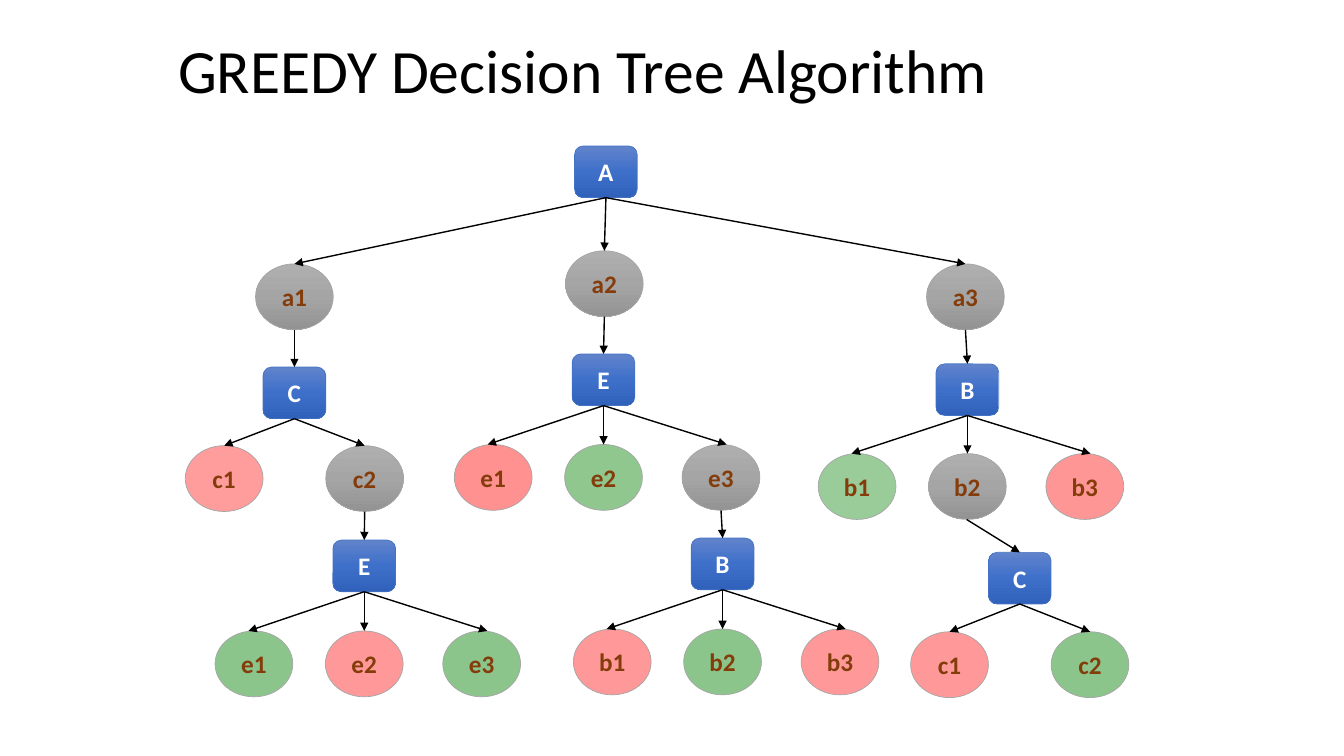
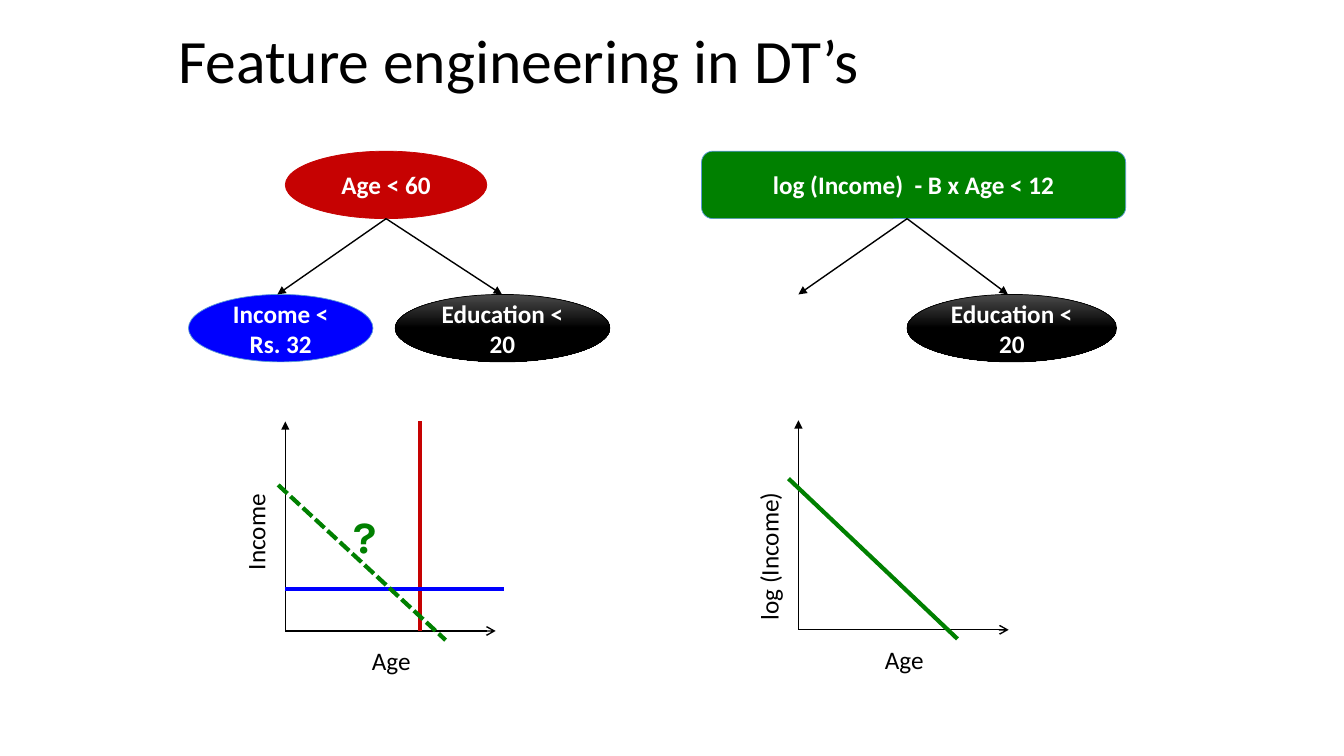
from collections import namedtuple
from dataclasses import dataclass

from lxml import etree
from pptx import Presentation
from pptx.dml.color import RGBColor
from pptx.enum.dml import MSO_LINE
from pptx.enum.shapes import MSO_CONNECTOR, MSO_SHAPE
from pptx.enum.text import MSO_ANCHOR, PP_ALIGN
from pptx.oxml.ns import qn
from pptx.util import Cm, Pt

OVAL, ROUNDED = MSO_SHAPE.OVAL, MSO_SHAPE.ROUNDED_RECTANGLE
STRAIGHT = MSO_CONNECTOR.STRAIGHT
DASHED = MSO_LINE.SQUARE_DOT
MIDDLE, TOP = MSO_ANCHOR.MIDDLE, MSO_ANCHOR.TOP
LEFT, CENTER = PP_ALIGN.LEFT, PP_ALIGN.CENTER

Box = namedtuple("Box", "left top width height")
Paint = namedtuple("Paint", "colors line opacity", defaults=(None,))
Answer = namedtuple("Answer", "label paint dx dy tip")
Style = namedtuple("Style", "size color bold font", defaults=(False, "Calibri"))


@dataclass(frozen=True)
class Theme:
    black: str = "000000"
    red: str = "C60202"
    blue: str = "0000FF"
    green: str = "008000"
    pure_red: str = "FF0000"
    gray_line: str = "A5A5A5"
    thin: float = 1
    thick: float = 3
    outline: float = 0.5
    title: Style = Style(44, "000000")
    body: Style = Style(18, "000000")
    node: Style = Style(18, "FFFFFF", True)
    answer: Style = Style(18, "843C0B", True)
    mark: Style = Style(32, "008000", True, "Karla")
    question: Paint = Paint(("6183CB", "3E70CA", "3062BB"), "4472C4")
    open: Paint = Paint(("AFAFAF", "A5A5A5", "939393"), "A5A5A5")
    dark: Paint = Paint(("4B4B4B", "000000", "000000"), "000000")


THEME = Theme()
QUESTION_W, QUESTION_H = 1.58, 1.3
ANSWER_W, ANSWER_H = 1.96, 1.66
FANS = {
    2: ((-1.77, -1.77), (1.77, 1.77)),
    3: ((-2.78, -2.92), (0, 0), (2.96, 3.1)),
}


def yes(opacity=45):
    return Paint((THEME.green,), THEME.gray_line, opacity)


def no(opacity=40):
    return Paint((THEME.pure_red,), THEME.gray_line, opacity)


def write(shape, text, style, align, anchor):
    frame = shape.text_frame
    frame.word_wrap = True
    frame.vertical_anchor = anchor
    para = frame.paragraphs[0]
    para.alignment = align
    span = para.add_run()
    span.text = text
    span.font.name = style.font
    span.font.size = Pt(style.size)
    span.font.bold = style.bold
    span.font.color.rgb = RGBColor.from_string(style.color)
    return para


def add_text(page, box, text, style, align=CENTER, anchor=TOP):
    shape = page.shapes.add_textbox(*map(Cm, box))
    return shape, write(shape, text, style, align, anchor)


def add_title(page, box, text):
    para = add_text(page, box, text, THEME.title, LEFT, MIDDLE)[1]
    para.line_spacing = 0.9


def apply_paint(shape, paint):
    fill = shape.fill
    if len(paint.colors) == 1:
        fill.solid()
        fill.fore_color.rgb = RGBColor.from_string(paint.colors[0])
        if paint.opacity:
            color = shape.element.spPr.find(qn("a:solidFill"))[0]
            etree.SubElement(color, qn("a:alpha"), val=str(paint.opacity * 1000))
    else:
        fill.gradient()
        fill.gradient_angle = 270
        stops = shape.element.spPr.find(".//" + qn("a:gsLst"))
        for stop in list(stops):
            stops.remove(stop)
        for index, color in enumerate(paint.colors):
            stop = etree.SubElement(stops, qn("a:gs"), pos=str(index * 50000))
            etree.SubElement(stop, qn("a:srgbClr"), val=color)
    shape.line.color.rgb = RGBColor.from_string(paint.line)
    shape.line.width = Pt(THEME.outline)


def add_node(page, kind, box, text, paint, style):
    shape = page.shapes.add_shape(kind, *map(Cm, box))
    shape.shadow.inherit = False
    apply_paint(shape, paint)
    write(shape, text, style, CENTER, MIDDLE)


def add_line(page, start, end, color=THEME.black, width=THEME.thin,
             dash=None, head=None, tail=None):
    line = page.shapes.add_connector(STRAIGHT, *map(Cm, (*start, *end)))
    line.line.color.rgb = RGBColor.from_string(color)
    line.line.width = Pt(width)
    if dash:
        line.line.dash_style = dash
    properties = line.element.spPr
    outline = properties.find(qn("a:ln"))
    for tag, arrow in (("a:headEnd", head), ("a:tailEnd", tail)):
        if arrow:
            etree.SubElement(outline, qn(tag), type=arrow)
    etree.SubElement(properties, qn("a:effectLst"))


def fan(drop, *outcomes):
    return [Answer(label, paint, dx, drop, tip)
            for (label, paint), (dx, tip) in zip(outcomes, FANS[len(outcomes)])]


def add_split(page, box, question, answers):
    center = box.left + box.width / 2
    bottom = box.top + box.height
    add_node(page, ROUNDED, box, question, THEME.question, THEME.node)
    for answer in answers:
        top = box.top + answer.dy
        oval = Box(center + answer.dx - ANSWER_W / 2, top, ANSWER_W, ANSWER_H)
        add_node(page, OVAL, oval, answer.label, answer.paint, THEME.answer)
        add_line(page, (center, bottom), (center + answer.tip, top), tail="triangle")


def question_box(center, top):
    return Box(center - QUESTION_W / 2, top, QUESTION_W, QUESTION_H)


def add_fork(page, box, kind, root, apex, branches):
    text, paint, dx, width = root
    height = 1.7
    child_top = box.top + box.height - height
    add_node(page, kind, Box(box.left + dx, box.top, width, height),
             text, paint, THEME.node)
    for tip, child in branches:
        if child:
            text, paint, dx, width = child
            add_node(page, OVAL, Box(box.left + dx, child_top, width, height),
                     text, paint, THEME.node)
        add_line(page, (box.left + apex, box.top + height),
                 (box.left + tip, child_top), tail="triangle")


def add_plot(page, box, label, label_middle, boundaries):
    bottom = box.top + box.height
    corner = (box.left, bottom)
    add_line(page, (box.left, box.top), corner, head="triangle")
    add_line(page, corner, (box.left + box.width, bottom), tail="arrow")
    for x1, y1, x2, y2, color, dash in boundaries:
        add_line(page, (box.left + x1, box.top + y1), (box.left + x2, box.top + y2),
                 color, THEME.thick, dash)
    width, height = 4.88, 1.02
    label_box = Box(box.left - 0.75 - width / 2,
                    box.top + label_middle - height / 2, width, height)
    add_text(page, label_box, label, THEME.body)[0].rotation = 270
    add_text(page, Box(box.left + 1.67, bottom + 0.23, 2, height), "Age", THEME.body)


def build_tree(page):
    add_title(page, Box(4.24, 0.58, 24.77, 2.54), "GREEDY Decision Tree Algorithm")
    root = [Answer("a1", THEME.open, -7.85, 2.97, -7.85),
            Answer("a2", THEME.open, -0.04, 2.64, -0.04),
            Answer("a3", THEME.open, 9.06, 2.97, 9.06)]
    splits = (
        (15.27, 3.68, "A", root),
        (7.42, 9.25, "C", fan(1.98, ("c1", no(39)), ("c2", THEME.open))),
        (15.21, 8.92, "E",
         fan(2.28, ("e1", no(43)), ("e2", yes(44)), ("e3", THEME.open))),
        (24.38, 9.17, "B",
         fan(2.26, ("b1", yes(40)), ("b2", THEME.open), ("b3", no(41)))),
        (9.18, 13.61, "E", fan(2.29, ("e1", yes()), ("e2", no()), ("e3", yes()))),
        (18.21, 13.56, "B", fan(2.29, ("b1", no()), ("b2", yes()), ("b3", no()))),
        (25.7, 13.92, "C", fan(2, ("c1", no()), ("c2", yes()))),
    )
    for center, top, question, answers in splits:
        add_split(page, question_box(center, top), question, answers)
    parents = ((7.42, 6.65), (15.23, 6.32), (24.33, 6.65),
               (9.19, 11.23), (18.17, 11.2), (24.36, 11.43))
    for (center, top), split in zip(parents, splits[1:]):
        add_line(page, (center, top + ANSWER_H), split[:2], tail="triangle")


def build_features(page):
    add_title(page, Box(4.24, 0.33, 24.77, 2.54), "Feature engineering in DT’s")
    education = "Education < 20"
    sky = "5B9BD5"
    add_fork(page, Box(4.75, 3.81, 10.62, 5.31), OVAL,
             ("Age < 60", Paint((THEME.red,), THEME.red), 2.44, 5.08), 4.98,
             ((2.24, ("Income < Rs. 32", Paint((THEME.blue,), sky), 0, 4.65)),
              (7.9, (education, THEME.dark, 5.21, 5.41))))
    add_fork(page, Box(17.68, 3.81, 10.69, 5.31), ROUNDED,
             ("log (Income)  - B x Age < 12", Paint((THEME.green,), sky), 0, 10.69),
             5.18, ((2.44, None), (7.72, (education, THEME.dark, 5.18, 5.28))))
    plot = Box(7.19, 10.62, 5.3, 5.28)
    add_plot(page, plot, "Income", 2.79,
             ((3.4, 0, 3.4, 5.28, THEME.red, None),
              (0, 4.22, 5.51, 4.22, THEME.blue, None),
              (-0.18, 1.6, 4.04, 5.51, THEME.green, DASHED)))
    add_text(page, Box(plot.left + 1.02, plot.top + 2.08, 2, 1.62), "?", THEME.mark)
    add_plot(page, Box(20.12, 10.59, 5.3, 5.28), "log (Income)", 3.43,
             ((-0.25, 1.47, 4.01, 5.51, THEME.green, None),))


def main():
    deck = Presentation()
    deck.slide_width, deck.slide_height = Cm(33.87), Cm(19.05)
    for build in (build_tree, build_features):
        build(deck.slides.add_slide(deck.slide_layouts[6]))
    deck.save("out.pptx")


if __name__ == "__main__":
    main()
